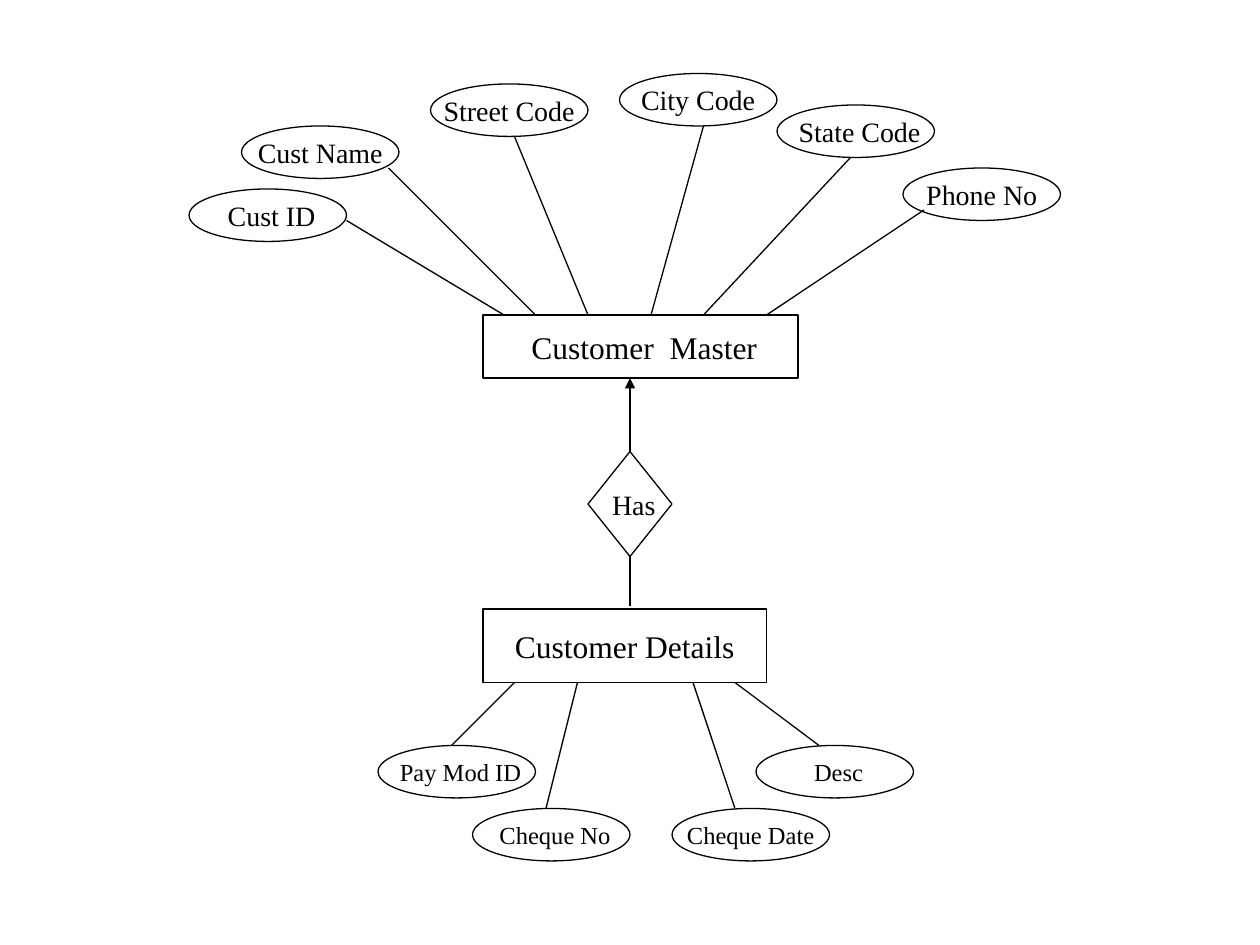
from lxml.etree import SubElement
from pptx import Presentation
from pptx.dml.color import RGBColor
from pptx.enum.shapes import MSO_CONNECTOR as Connector, MSO_SHAPE as Shape
from pptx.enum.text import MSO_ANCHOR as Anchor, PP_ALIGN as Align
from pptx.oxml.ns import qn
from pptx.util import Inches, Pt

COLORS = {"paper": "FFFFFF", "ink": "000000"}
FONT = "Times New Roman"
ATTRIBUTE_SIZE = (15, 5)
NUDGED = {"Customer  Master", "Cust ID", "State Code", "Has", "Pay Mod ID", "Cheque No", "Desc"}

# label, offset from the entity, link start within the ellipse, link end along the entity
MASTER_ATTRIBUTES = [
    ("Cust ID", (-28, -12), (15, 3), 2),
    ("Cust Name", (-23, -18), (14, 4), 5),
    ("Street Code", (-5, -22), (8, 5), 10),
    ("City Code", (13, -23), (8, 5), 16),
    ("State Code", (28, -20), (7, 5), 21),
    ("Phone No", (40, -14), (2, 4), 27),
]
DETAILS_ATTRIBUTES = [
    ("Pay Mod ID", (-10, 13), (7, 0), 3),
    ("Cheque No", (-1, 19), (7, 0), 9),
    ("Cheque Date", (18, 19), (6, 0), 20),
    ("Desc", (26, 13), (6, 0), 24),
]


def grid(*steps):
    """Turn steps of a twelfth of an inch into lengths."""
    return [Inches(step / 12) for step in steps]


def color(name):
    """Look up a colour of the diagram."""
    return RGBColor.from_string(COLORS[name])


def add_node(slide, kind, box, label, size):
    """Draw an outlined shape with a centred label."""
    node = slide.shapes.add_shape(kind, *grid(*box))
    node.shadow.inherit = False
    node.fill.solid()
    node.fill.fore_color.rgb = color("paper")
    node.line.color.rgb = color("ink")
    node.line.width = Pt(0.75)
    frame = node.text_frame
    frame.word_wrap = False
    frame.vertical_anchor = Anchor.MIDDLE
    frame.margin_left = Inches(0.16 if label in NUDGED else 0.1)
    paragraph = frame.paragraphs[0]
    paragraph.text = label
    paragraph.alignment = Align.CENTER
    paragraph.font.name = FONT
    paragraph.font.size = Pt(size)
    paragraph.font.color.rgb = color("ink")


def add_link(slide, start, end, arrow=False):
    """Draw a straight link, with an arrowhead at its end on request."""
    link = slide.shapes.add_connector(Connector.STRAIGHT, *grid(*start, *end))
    link.line.color.rgb = color("ink")
    link.line.width = Pt(0.75)
    if arrow:
        SubElement(link.line._get_or_add_ln(), qn("a:tailEnd"), type="triangle")
    SubElement(link._element.spPr, qn("a:effectLst"))


def add_entity(slide, box, label, attributes, attribute_size):
    """Draw an entity with its attributes and their links."""
    left, top, _, height = box
    add_node(slide, Shape.RECTANGLE, box, label, 18)
    for name, (dx, dy), (start_x, start_y), end_x in attributes:
        x, y = left + dx, top + dy
        edge = top if dy < 0 else top + height
        add_node(slide, Shape.OVAL, (x, y, *ATTRIBUTE_SIZE), name, attribute_size)
        add_link(slide, (x + start_x, y + start_y), (left + end_x, edge))


def add_relationship(slide, box, label, above, below):
    """Draw a relationship diamond linked to the entities above and below."""
    left, top, width, height = box
    middle = left + width / 2
    add_link(slide, (middle, top), (middle, above), arrow=True)
    add_link(slide, (middle, top + height), (middle, below))
    add_node(slide, Shape.DIAMOND, box, label, 16)


def main():
    """Build the entity-relationship slide."""
    deck = Presentation()
    deck.slide_width, deck.slide_height = Inches(10), Inches(7.5)
    slide = deck.slides.add_slide(deck.slide_layouts[6])
    add_entity(slide, (46, 30, 30, 6), "Customer  Master", MASTER_ATTRIBUTES, 16)
    add_entity(slide, (46, 58, 27, 7), "Customer Details", DETAILS_ATTRIBUTES, 14)
    add_relationship(slide, (56, 43, 8, 10), "Has", above=36, below=57.75)
    deck.save("out.pptx")


if __name__ == "__main__":
    main()
